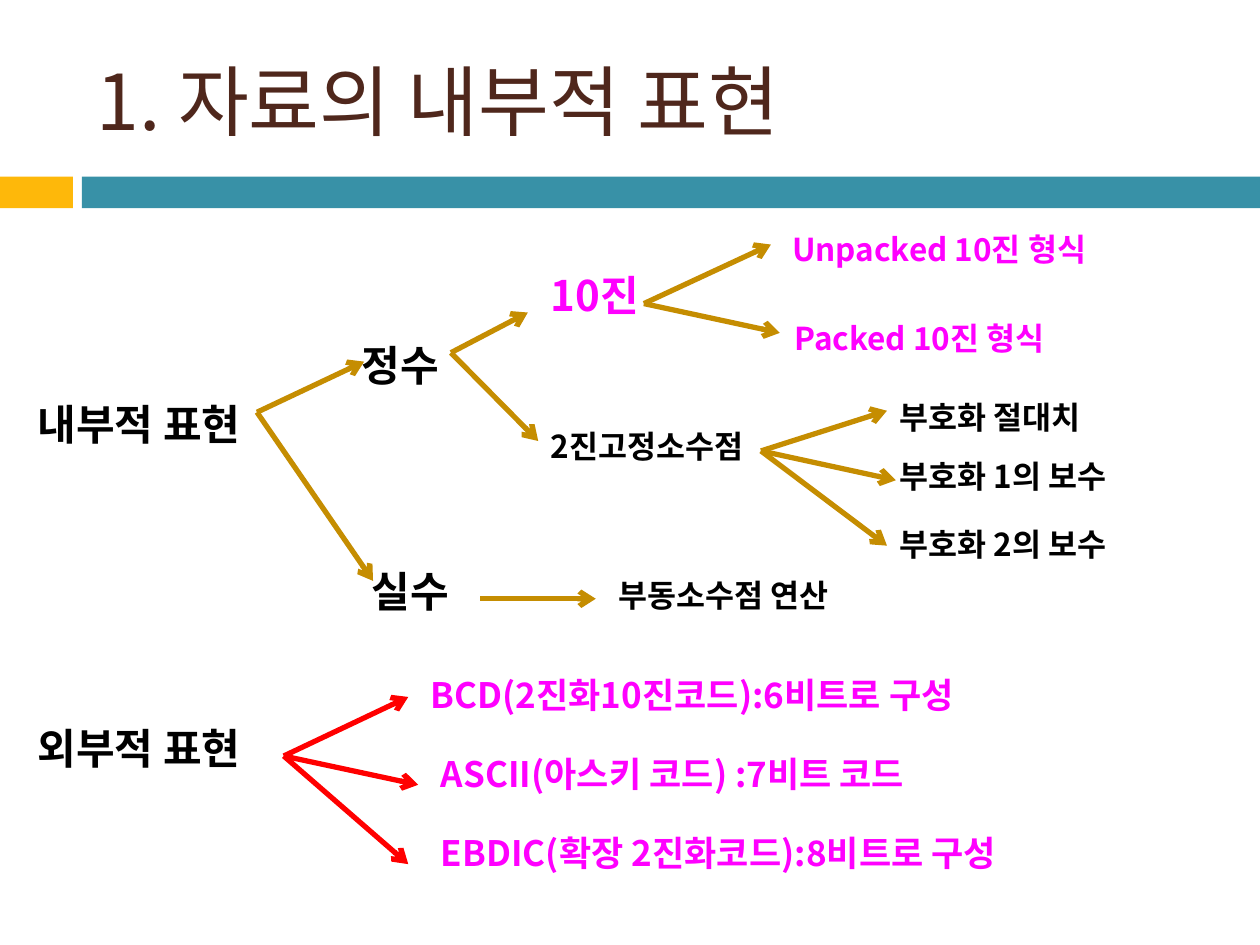
from lxml.etree import SubElement
from pptx import Presentation
from pptx.dml.color import RGBColor as Rgb
from pptx.enum.shapes import MSO_CONNECTOR as Connector, MSO_SHAPE as Shape
from pptx.enum.text import MSO_ANCHOR as Anchor, MSO_AUTO_SIZE as AutoSize
from pptx.oxml.ns import qn
from pptx.util import Cm, Pt

THEME = {
    "font": "Noto Sans CJK KR",
    "title": {"size": 44, "color": "4F271C", "bold": False},
    "topic": {"size": 24, "color": "000000", "bold": True},
    "topic_key": {"size": 24, "color": "FF00FF", "bold": True},
    "code": {"size": 20, "color": "FF00FF", "bold": True},
    "detail": {"size": 18, "color": "000000", "bold": True},
    "detail_key": {"size": 18, "color": "FF00FF", "bold": True},
    "accent": "FEB80A",
    "band": "3891A7",
    "internal": "C58D01",
    "external": "FF0000",
    "line_width": 3,
}
BOX_HEIGHT = {24: 1.27, 20: 1.12, 18: 1.02}

TITLE = ("1. 자료의 내부적 표현", "title", 1.7, 0.64, 22.66)
TITLE_HEIGHT = 2.74

# Left, width and colour of the bars under the title
BARS = [(0, 1.47, "accent"), (1.65, 23.75, "band")]
BAR_TOP, BAR_HEIGHT = 3.56, 0.64

# Text, style, left, top, width
LABELS = [
    ("내부적 표현", "topic", 0.51, 7.9, 5.26),
    ("정수", "topic", 7.04, 6.71, 2.54),
    ("실수", "topic", 7.24, 11.28, 2.34),
    ("10진", "topic_key", 10.85, 5.31, 2.54),
    ("2진고정소수점", "detail", 10.85, 8.48, 4.88),
    ("Unpacked 10진 형식", "detail_key", 15.72, 4.52, 7.42),
    ("Packed 10진 형식", "detail_key", 15.77, 6.3, 6.25),
    ("부호화 절대치", "detail", 17.88, 7.9, 4.88),
    ("부호화 1의 보수", "detail", 17.88, 9.09, 6.63),
    ("부호화 2의 보수", "detail", 17.88, 10.46, 5.66),
    ("부동소수점 연산", "detail", 12.22, 11.48, 6.25),
    ("외부적 표현", "topic", 0.51, 14.45, 5.61),
    ("BCD(2진화10진코드):6비트로 구성", "code", 8.43, 13.46, 14.5),
    ("ASCII(아스키 코드) :7비트 코드", "code", 8.64, 15.04, 13.36),
    ("EBDIC(확장 2진화코드):8비트로 구성", "code", 8.64, 16.64, 15.09),
]

# Colour, common start, ends
BRANCHES = [
    ("internal", (5.18, 8.31), [(7.34, 7.29), (7.52, 11.71)]),
    ("internal", (9.09, 7.11), [(10.64, 6.3), (10.85, 8.89)]),
    ("internal", (12.98, 6.12), [(15.54, 4.93), (15.72, 6.71)]),
    ("internal", (15.34, 9.09), [(17.88, 8.28), (18.06, 9.68), (17.88, 11)]),
    ("internal", (9.68, 12.07), [(12.01, 12.07)]),
    ("external", (5.72, 15.24), [(8.23, 14.05), (8.43, 15.82), (8.23, 17.42)]),
]


def add_bar(page, left, width, color):
    bar = page.shapes.add_shape(
        Shape.RECTANGLE, Cm(left), Cm(BAR_TOP), Cm(width), Cm(BAR_HEIGHT))
    bar.shadow.inherit = False
    bar.fill.solid()
    bar.fill.fore_color.rgb = Rgb.from_string(THEME[color])
    bar.line.fill.background()


def add_label(page, text, style, left, top, width, height=None, **frame_format):
    look = THEME[style]
    box = page.shapes.add_textbox(
        Cm(left), Cm(top), Cm(width), Cm(height or BOX_HEIGHT[look["size"]]))
    frame = box.text_frame
    for name, value in {"word_wrap": True, **frame_format}.items():
        setattr(frame, name, value)
    span = frame.paragraphs[0].add_run()
    span.text = text
    font_format = {"name": THEME["font"], "size": Pt(look["size"]), "bold": look["bold"]}
    for name, value in font_format.items():
        setattr(span.font, name, value)
    span.font.color.rgb = Rgb.from_string(look["color"])
    # The East Asian typeface has no public setter
    SubElement(span.font._element, qn("a:ea"), typeface=THEME["font"])


def add_arrow(page, color, start, end):
    points = [Cm(value) for value in (*start, *end)]
    arrow = page.shapes.add_connector(Connector.STRAIGHT, *points)
    arrow.line.width = Pt(THEME["line_width"])
    arrow.line.color.rgb = Rgb.from_string(THEME[color])
    SubElement(arrow.line._get_or_add_ln(), qn("a:tailEnd"), type="arrow")
    SubElement(arrow._element.spPr, qn("a:effectLst"))


def main():
    deck = Presentation()
    deck.slide_width, deck.slide_height = Cm(25.4), Cm(19.05)
    page = deck.slides.add_slide(deck.slide_layouts[6])
    for bar in BARS:
        add_bar(page, *bar)
    add_label(page, *TITLE, height=TITLE_HEIGHT, vertical_anchor=Anchor.MIDDLE)
    for color, start, ends in BRANCHES:
        for end in ends:
            add_arrow(page, color, start, end)
    for label in LABELS:
        add_label(page, *label, auto_size=AutoSize.SHAPE_TO_FIT_TEXT)
    deck.save("out.pptx")


if __name__ == "__main__":
    main()
